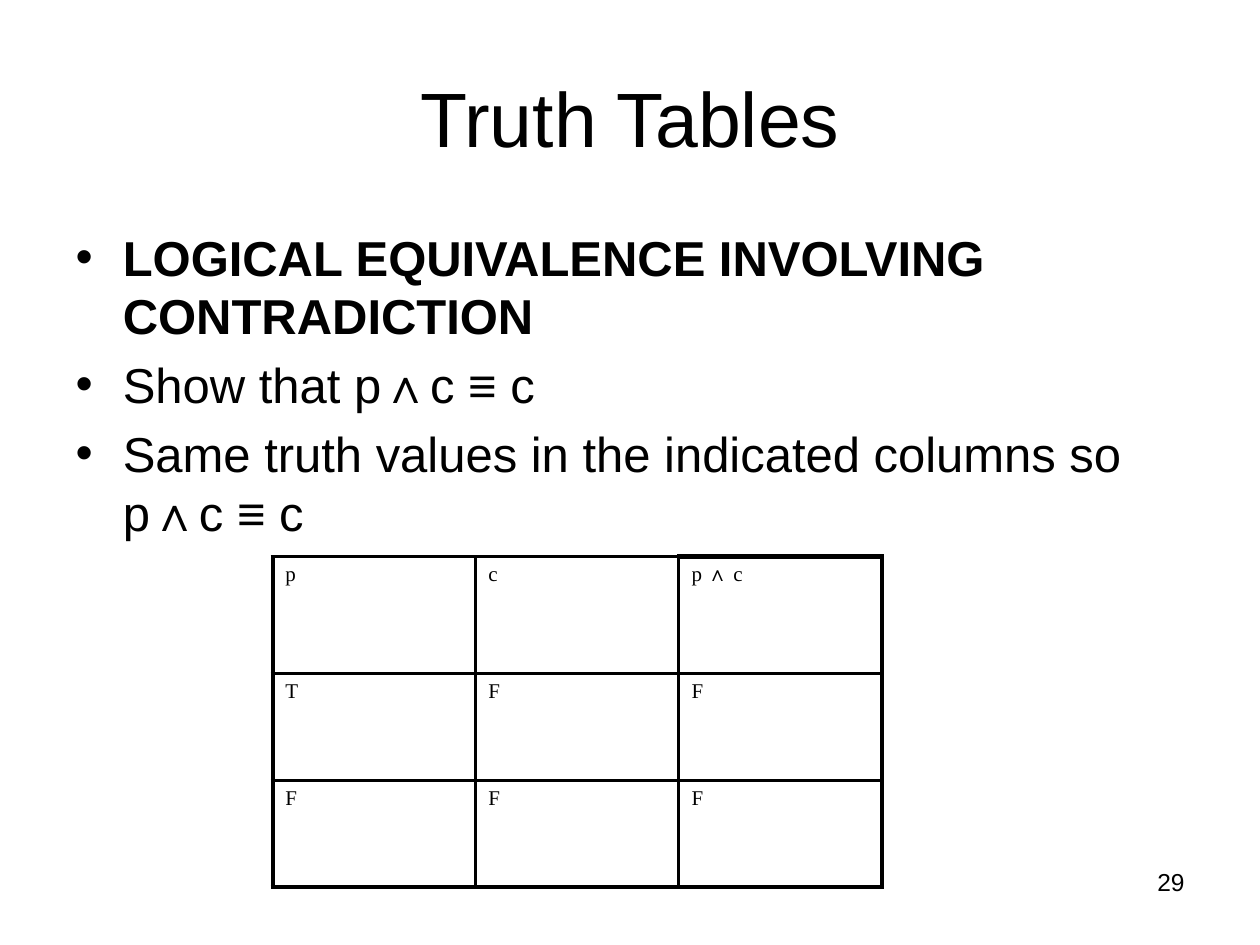
from lxml.etree import SubElement
from pptx import Presentation
from pptx.dml.color import RGBColor
from pptx.enum.text import MSO_ANCHOR, MSO_AUTO_SIZE, PP_ALIGN
from pptx.oxml.ns import qn
from pptx.util import Cm, Pt

BLACK = "000000"
TRUTH_VALUES = [
    ["p", "c", "p ∧ c"],
    ["T", "F", "F"],
    ["F", "F", "F"],
]
STATEMENTS = [
    ("LOGICAL EQUIVALENCE INVOLVING CONTRADICTION", True),
    ("Show that p∧c ≡ c", False),
    ("Same truth values in the indicated columns so p∧c ≡ c", False),
]


def color(hex_code):
    return RGBColor.from_string(hex_code)


def write(paragraph, text, size, font="Arial", bold=False, align=None, fill=BLACK):
    run = paragraph.add_run()
    run.text = text
    run.font.size = Pt(size)
    run.font.name = font
    run.font.bold = bold
    run.font.color.rgb = color(fill)
    if align is not None:
        paragraph.alignment = align


def place(part, box):
    part.left, part.top, part.width, part.height = box


def add_heading(slide, box):
    heading = slide.shapes.title
    place(heading, box)
    heading.text_frame.vertical_anchor = MSO_ANCHOR.MIDDLE
    write(heading.text_frame.paragraphs[0], "Truth Tables", 44, align=PP_ALIGN.CENTER)


def add_statements(slide, box):
    body = slide.placeholders[1]
    place(body, box)
    frame = body.text_frame
    frame.auto_size = MSO_AUTO_SIZE.NONE
    for index, (statement, bold) in enumerate(STATEMENTS):
        paragraph = frame.add_paragraph() if index else frame.paragraphs[0]
        write(paragraph, statement, 28, bold=bold)


def set_borders(cell, widths):
    properties = cell._tc.get_or_add_tcPr()
    for position, (side, width) in enumerate(widths.items()):
        line = SubElement(properties, qn(f"a:ln{side}"), w=str(Pt(width)))
        solid = SubElement(line, qn("a:solidFill"))
        SubElement(solid, qn("a:srgbClr"), val=BLACK)
        properties.insert(position, line)


def add_truth_table(slide, box):
    left, top, width, height = box
    row_count, column_count = len(TRUTH_VALUES), len(TRUTH_VALUES[0])
    last_row, last_column = row_count - 1, column_count - 1
    table = slide.shapes.add_table(row_count, column_count, *box).table
    table.first_row = table.horz_banding = False
    header_height = Cm(2.36)
    for row_index, row in enumerate(table.rows):
        row.height = (height - header_height) // last_row if row_index else header_height
    for row_index, values in enumerate(TRUTH_VALUES):
        for column_index, value in enumerate(values):
            cell = table.cell(row_index, column_index)
            cell.fill.background()
            paragraph = cell.text_frame.paragraphs[0]
            write(paragraph, value, 12, font="Times New Roman")
            indent = paragraph._p.get_or_add_pPr()
            indent.set("marL", str(Cm(0.95)))
            indent.set("indent", str(-Cm(0.95)))
            set_borders(cell, {
                "L": 3 if column_index == 0 else 2,
                "R": 3 if column_index == last_column else 2,
                "T": 3 if (row_index, column_index) == (0, last_column) else 2,
                "B": 3 if row_index == last_row else 2,
            })


def add_page_number(slide, box):
    frame = slide.shapes.add_textbox(*box).text_frame
    frame.word_wrap = True
    write(frame.paragraphs[0], "29", 14, align=PP_ALIGN.RIGHT)


presentation = Presentation()
presentation.slide_width, presentation.slide_height = Cm(25.4), Cm(19.05)
truth_slide = presentation.slides.add_slide(presentation.slide_layouts[1])
add_page_number(truth_slide, (Cm(18.2), Cm(17.35), Cm(5.93), Cm(1.32)))
add_heading(truth_slide, (Cm(1.27), Cm(0.76), Cm(22.86), Cm(3.18)))
add_statements(truth_slide, (Cm(1.27), Cm(4.45), Cm(22.86), Cm(6.78)))
add_truth_table(truth_slide, (Cm(5.5), Cm(11.22), Cm(12.28), Cm(6.66)))
presentation.save("out.pptx")
